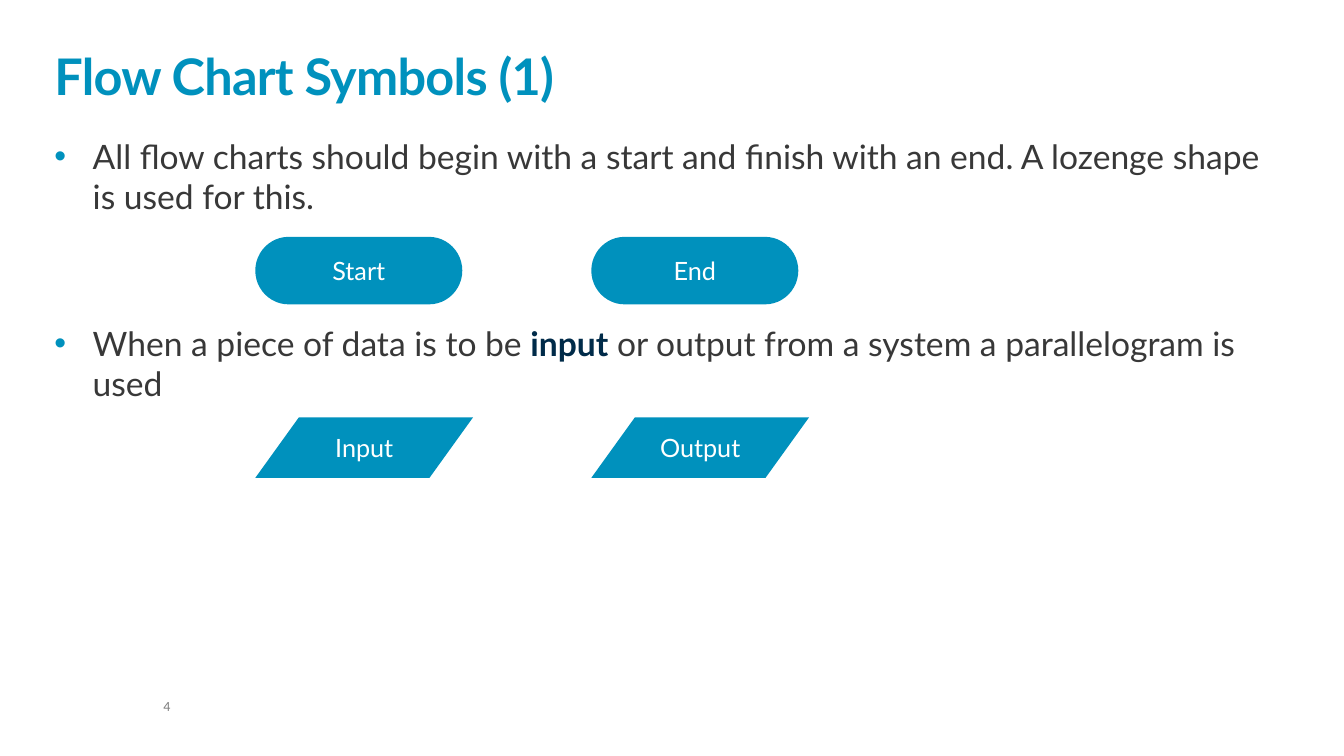
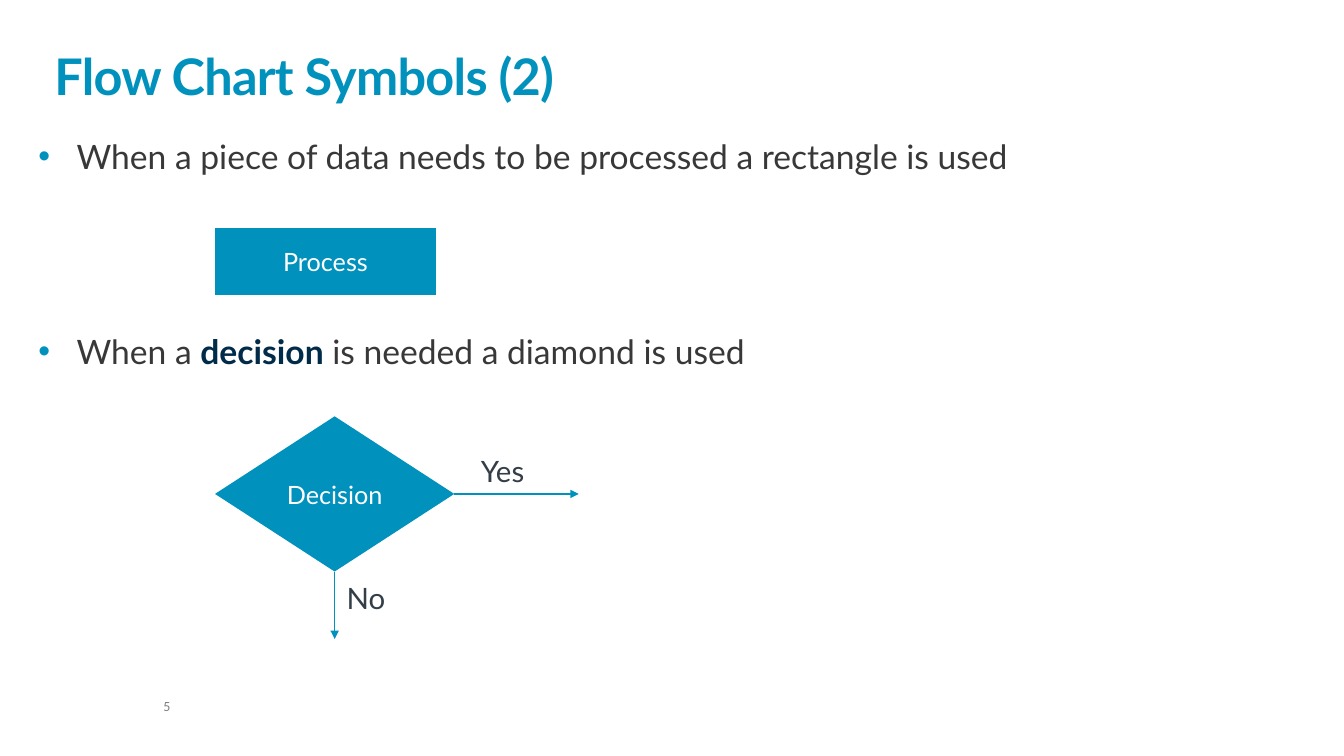
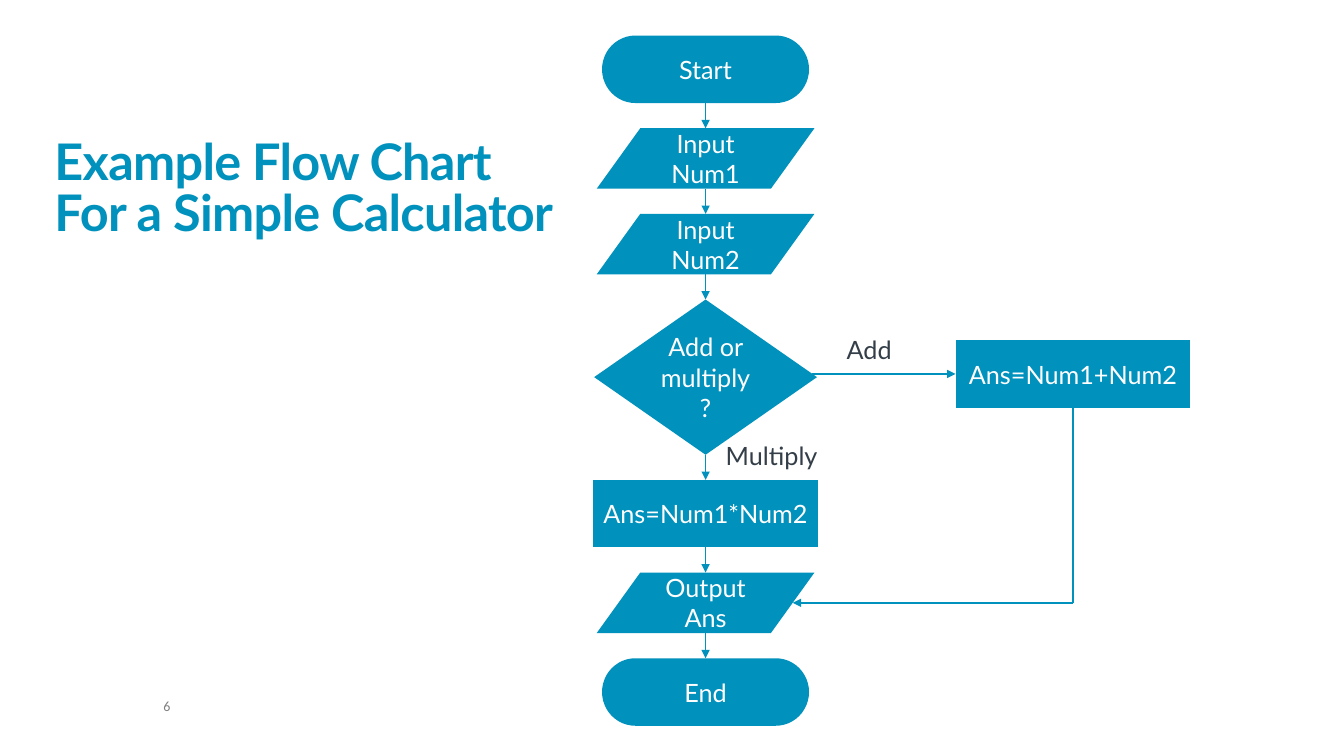
from dataclasses import dataclass

import pptx
import pptx.dml.color
import pptx.enum.shapes
import pptx.enum.text
import pptx.oxml.ns
import pptx.util
from lxml import etree

SLIDE_W = pptx.util.Inches(13.33)
SLIDE_H = pptx.util.Inches(7.5)
BLUE, NAVY, BODY, LABEL, GRAY, WHITE = (
    "0091BD", "002B49", "383838", "333E48", "7F7F7F", "FFFFFF")
FONT, NUMBER_FONT = "Lato", "Calibri"
MARGIN, CONTENT_W, TITLE_TOP = 4.05, 91.75, 4.27
BODY_SIZE, LINE_HEIGHT, BODY_GAP = 24, 28.8, 6

SHAPE = pptx.enum.shapes.MSO_SHAPE
ANCHOR = pptx.enum.text.MSO_ANCHOR
ALIGN = pptx.enum.text.PP_ALIGN


@dataclass(frozen=True)
class Kind:
    shape: int
    w: float
    h: float
    side: float = 0.1


TERMINATOR = Kind(SHAPE.FLOWCHART_TERMINATOR, 15.4, 8.93)
DATA = Kind(SHAPE.FLOWCHART_DATA, 16.2, 8)
PROCESS = Kind(SHAPE.FLOWCHART_PROCESS, 16.43, 8.93)
DECISION = Kind(SHAPE.FLOWCHART_DECISION, 17.8, 20.53)
CHOICE = Kind(SHAPE.FLOWCHART_DECISION, 16.58, 20.53)
MULTIPLY = Kind(SHAPE.FLOWCHART_PROCESS, 16.73, 8.93, 0.05)
ADD = Kind(SHAPE.FLOWCHART_PROCESS, 17.48, 8.93, 0.05)


@dataclass(frozen=True)
class Node:
    kind: Kind
    text: str
    x: float
    y: float

    @property
    def cx(self) -> float:
        return self.x + self.kind.w / 2

    @property
    def cy(self) -> float:
        return self.y + self.kind.h / 2

    @property
    def right(self) -> float:
        return self.x + self.kind.w

    @property
    def bottom(self) -> float:
        return self.y + self.kind.h


@dataclass(frozen=True)
class Label:
    text: str
    x: float
    y: float
    w: float
    size: float


@dataclass(frozen=True)
class Bullet:
    runs: tuple[tuple[str, bool], ...]
    blank_lines: int = 0


def px(share: float) -> int:
    return int(SLIDE_W * share / 100)


def py(share: float) -> int:
    return int(SLIDE_H * share / 100)


def rgb(value: str) -> pptx.dml.color.RGBColor:
    return pptx.dml.color.RGBColor.from_string(value)


def add_run(p, text: str, size: float, color: str, bold: bool = False, font: str = FONT):
    r = p.add_run()
    r.text = text
    r.font.name = font
    r.font.size = pptx.util.Pt(size)
    r.font.bold = bold
    r.font.color.rgb = rgb(color)
    return r


def add_box(s, x: float, y: float, w: float, h: float, wrap: bool = True):
    tf = s.shapes.add_textbox(px(x), py(y), px(w), py(h)).text_frame
    tf.margin_left = tf.margin_right = tf.margin_top = tf.margin_bottom = 0
    tf.word_wrap = wrap
    return tf


def add_note(s, label: Label, color: str = LABEL, font: str = FONT, wrap: bool = False) -> None:
    tf = add_box(s, label.x, label.y, label.w, label.size * 0.2, wrap)
    tf.auto_size = pptx.enum.text.MSO_AUTO_SIZE.SHAPE_TO_FIT_TEXT
    p = tf.paragraphs[0]
    p.line_spacing = 0.9
    p.space_after = pptx.util.Pt(6)
    add_run(p, label.text, label.size, color, font=font)


def add_slide(prs, number: int, title: str, w: float = CONTENT_W, h: float = 9.73):
    s = prs.slides.add_slide(prs.slide_layouts[6])
    add_note(s, Label(str(number), 12.15, 92.53, 8.93, 10), GRAY, NUMBER_FONT, True)
    tf = add_box(s, MARGIN, TITLE_TOP, w, h)
    tf.vertical_anchor = ANCHOR.BOTTOM
    p = tf.paragraphs[0]
    p.line_spacing = 0.85
    r = add_run(p, title, 36, BLUE, True)
    r.font._element.set("spc", "-50")
    return s


def add_bullets(s, x: float, bullets: list[Bullet]) -> None:
    tf = add_box(s, x, 18, CONTENT_W, 67)
    indent = pptx.util.Inches(0.38)
    for i, bullet in enumerate(bullets):
        p = tf.add_paragraph() if i else tf.paragraphs[0]
        n = bullet.blank_lines
        p.space_before = pptx.util.Pt(n * LINE_HEIGHT + (n + 1) * BODY_GAP)
        ppr = p._p.get_or_add_pPr()
        ppr.set("marL", str(indent))
        ppr.set("indent", str(-indent))
        color = etree.SubElement(ppr, pptx.oxml.ns.qn("a:buClr"))
        etree.SubElement(color, pptx.oxml.ns.qn("a:srgbClr"), val=BLUE)
        etree.SubElement(ppr, pptx.oxml.ns.qn("a:buFont"), typeface="Arial")
        etree.SubElement(ppr, pptx.oxml.ns.qn("a:buChar"), char="•")
        for text, key in bullet.runs:
            add_run(p, text, BODY_SIZE, NAVY if key else BODY, key)


def add_node(s, node: Node) -> None:
    k = node.kind
    sp = s.shapes.add_shape(k.shape, px(node.x), py(node.y), px(k.w), py(k.h))
    sp.shadow.inherit = False
    sp.fill.solid()
    sp.fill.fore_color.rgb = rgb(BLUE)
    sp.line.fill.background()
    tf = sp.text_frame
    tf.word_wrap = True
    tf.vertical_anchor = ANCHOR.MIDDLE
    tf.margin_left = tf.margin_right = pptx.util.Inches(k.side)
    p = tf.paragraphs[0]
    p.alignment = ALIGN.CENTER
    add_run(p, node.text, 18, WHITE)


def add_line(s, x1: float, y1: float, x2: float, y2: float, arrow: bool = True) -> None:
    c = s.shapes.add_connector(
        pptx.enum.shapes.MSO_CONNECTOR.STRAIGHT, px(x1), py(y1), px(x2), py(y2))
    c.line.color.rgb = rgb(BLUE)
    c.line.width = pptx.util.Pt(1)
    if arrow:
        etree.SubElement(c.line._get_or_add_ln(), pptx.oxml.ns.qn("a:tailEnd"), type="triangle")
    etree.SubElement(c._element.spPr, pptx.oxml.ns.qn("a:effectLst"))


def symbols_start_and_data(prs) -> None:
    s = add_slide(prs, 4, "Flow Chart Symbols (1)")
    add_bullets(s, MARGIN, [
        Bullet((("All flow charts should begin with a start and finish with an end. "
                 "A lozenge shape is used for this.", False),)),
        Bullet((("When a piece of data is to be ", False), ("input", True),
                (" or output from a system a parallelogram is used", False)), 2),
    ])
    rows = [(TERMINATOR, 31.33, ("Start", "End")), (DATA, 55.2, ("Input", "Output"))]
    for kind, y, texts in rows:
        for x, text in zip((19, 44), texts):
            add_node(s, Node(kind, text, x, y))


def symbols_process_and_decision(prs) -> None:
    s = add_slide(prs, 5, "Flow Chart Symbols (2)")
    add_bullets(s, 2.85, [
        Bullet((("When a piece of data needs to be processed a rectangle is used", False),)),
        Bullet((("When a ", False), ("decision", True),
                (" is needed a diamond is used", False)), 3),
    ])
    decision = Node(DECISION, "Decision", 16, 55.07)
    for node in (Node(PROCESS, "Process", 16, 30.13), decision):
        add_node(s, node)
    add_line(s, decision.right, decision.cy, 43.06, decision.cy)
    add_line(s, decision.cx, decision.bottom, decision.cx, 84.53)
    for label in (Label("Yes", 35.78, 60.53, 3.53, 21), Label("No", 25.8, 77.33, 2.93, 21)):
        add_note(s, label)


def calculator_example(prs) -> None:
    s = add_slide(prs, 6, "Example Flow Chart For a Simple Calculator", 37.4, 27.73)
    axis, y, gap = 52.5, 4.7, 3.33
    steps = [
        (TERMINATOR, "Start"), (DATA, "Input Num1"), (DATA, "Input Num2"),
        (CHOICE, "Add or multiply?"), (MULTIPLY, "Ans=Num1*Num2"),
        (DATA, "Output Ans"), (TERMINATOR, "End"),
    ]
    flow: list[Node] = []
    for kind, text in steps:
        flow.append(Node(kind, text, axis - kind.w / 2, y))
        y += kind.h + gap
    choice, output = flow[3], flow[5]
    addition = Node(ADD, "Ans=Num1+Num2", 71.1, 45)
    for node in [*flow, addition]:
        add_node(s, node)
    for above, below in zip(flow, flow[1:]):
        add_line(s, axis, above.bottom, axis, below.y)
    add_line(s, choice.right - 0.4, addition.cy, addition.x, addition.cy)
    add_line(s, addition.cx, addition.bottom, addition.cx, output.cy, False)
    add_line(s, addition.cx, output.cy, axis + 0.4 * DATA.w, output.cy)
    for label in (Label("Add", 63, 44.67, 3.38, 18), Label("Multiply", 54, 58.67, 6.98, 18)):
        add_note(s, label)


def main() -> None:
    prs = pptx.Presentation()
    prs.slide_width, prs.slide_height = SLIDE_W, SLIDE_H
    symbols_start_and_data(prs)
    symbols_process_and_decision(prs)
    calculator_example(prs)
    prs.save("out.pptx")


if __name__ == "__main__":
    main()
